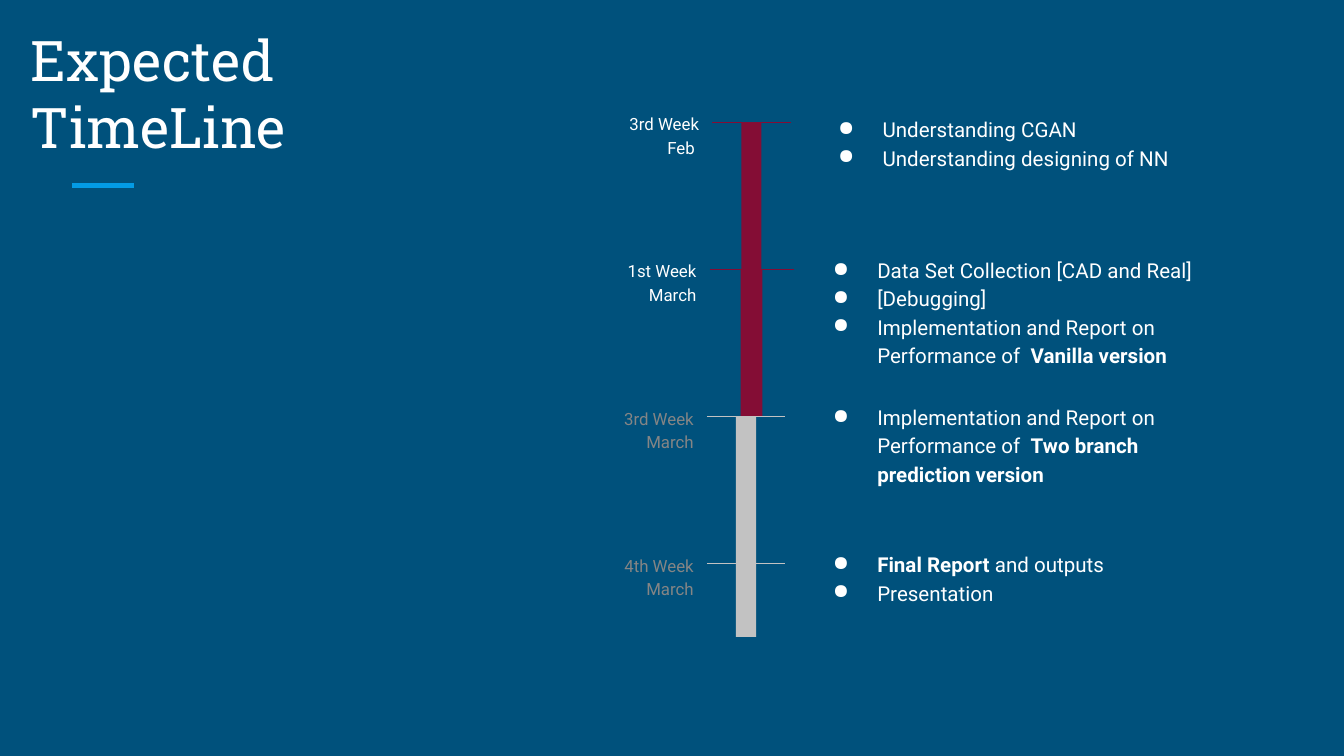
from dataclasses import dataclass

import pptx
import pptx.dml.color
import pptx.enum.shapes
import pptx.enum.text
import pptx.oxml
import pptx.oxml.ns
import pptx.util

Cm = pptx.util.Cm
Pt = pptx.util.Pt
ALIGN = pptx.enum.text.PP_ALIGN
ANCHOR = pptx.enum.text.MSO_ANCHOR

NAVY, BLUE, WHITE = "00517C", "039BE5", "FFFFFF"
RED, SILVER, GRAY = "840D35", "C2C2C2", "858585"
FIRST_TICK, PITCH = 2.31, 2.78


@dataclass
class Stage:
    label: list[str]
    tasks: list[str]
    color: str
    label_color: str
    bar_x: float
    bar_w: float
    bar_h: float
    tick_left: float
    tick_right: float
    label_w: float = 2.11
    tasks_x: float = 15.06
    tasks_w: float = 7.57
    tasks_rise: float = 0.53


STAGES = [
    Stage(["3rd Week Feb "],
          ["Understanding CGAN", "Understanding designing of NN"],
          RED, WHITE, 14.01, 0.38, PITCH, 13.46, 14.94,
          tasks_x=15.16, tasks_rise=0.41),
    Stage(["1st Week", "March"],
          ["Data Set Collection [CAD and Real]", "[Debugging]",
           "Implementation and Report on Performance of  **Vanilla version**"],
          RED, WHITE, 14.0, 0.41, PITCH, 13.41, 15.01,
          label_w=2.31, tasks_w=8.33),
    Stage(["3rd Week", "March"],
          ["Implementation and Report on Performance of  **Two branch prediction version**"],
          SILVER, GRAY, 13.91, 0.38, PITCH, 13.36, 14.83),
    Stage(["4th Week", "March"],
          ["**Final Report** and outputs", "Presentation"],
          SILVER, GRAY, 13.91, 0.38, PITCH / 2, 13.36, 14.83),
]


def rgb(color: str) -> pptx.dml.color.RGBColor:
    return pptx.dml.color.RGBColor.from_string(color)


def add_bullet(p, color: str) -> None:
    pPr = p._p.get_or_add_pPr()
    pPr.set("marL", str(Cm(1.27)))
    pPr.set("indent", str(Cm(-0.84)))
    ns = pptx.oxml.ns.nsdecls("a")
    for xml in (f'<a:buClr {ns}><a:srgbClr val="{color}"/></a:buClr>',
                f'<a:buChar {ns} char="●"/>'):
        pPr.append(pptx.oxml.parse_xml(xml))


def add_text(s, paragraphs: list[str], x: float, y: float, w: float, h: float, *,
             size: float, color: str = WHITE, font: str = "Roboto",
             align=ALIGN.LEFT, anchor=ANCHOR.TOP,
             spacing: float = 1.15, bullet: bool = False) -> None:
    tf = s.shapes.add_textbox(Cm(x), Cm(y), Cm(w), Cm(h)).text_frame
    tf.word_wrap = True
    tf.vertical_anchor = anchor
    tf.margin_left = tf.margin_right = tf.margin_top = tf.margin_bottom = Cm(0.25)
    for i, text in enumerate(paragraphs):
        p = tf.add_paragraph() if i else tf.paragraphs[0]
        p.alignment = align
        p.line_spacing = spacing
        if bullet:
            add_bullet(p, color)
        for j, part in enumerate(text.split("**")):
            for k, line in enumerate(part.split("\n")):
                if k:
                    p.add_line_break()
                if line:
                    r = p.add_run()
                    r.text = line
                    r.font.name = font
                    r.font.size = Pt(size)
                    r.font.bold = j % 2 == 1
                    r.font.color.rgb = rgb(color)


def add_line(s, x1: float, x2: float, y: float, color: str, width: float) -> None:
    sp = s.shapes.add_connector(pptx.enum.shapes.MSO_CONNECTOR.STRAIGHT,
                                Cm(x1), Cm(y), Cm(x2), Cm(y))
    sp.line.color.rgb = rgb(color)
    sp.line.width = Pt(width)
    sp._element.spPr.append(
        pptx.oxml.parse_xml(f'<a:effectLst {pptx.oxml.ns.nsdecls("a")}/>'))


def add_bar(s, x: float, y: float, w: float, h: float, color: str) -> None:
    sp = s.shapes.add_shape(pptx.enum.shapes.MSO_SHAPE.RECTANGLE,
                            Cm(x), Cm(y), Cm(w), Cm(h))
    sp.shadow.inherit = False
    sp.fill.solid()
    sp.fill.fore_color.rgb = rgb(color)
    sp.line.fill.background()


def add_stage(s, stage: Stage, y: float) -> None:
    add_bar(s, stage.bar_x, y, stage.bar_w, stage.bar_h, stage.color)
    add_line(s, stage.tick_left, stage.tick_right, y, stage.color, 0.75)
    add_text(s, stage.tasks, stage.tasks_x, y - stage.tasks_rise, stage.tasks_w, 0.76,
             size=11, bullet=True)
    add_text(s, stage.label, stage.tick_left - stage.label_w, y - 0.46, stage.label_w, 0.97,
             size=9, color=stage.label_color, align=ALIGN.RIGHT)


def main() -> None:
    prs = pptx.Presentation()
    prs.slide_width, prs.slide_height = Cm(25.4), Cm(14.29)
    s = prs.slides.add_slide(prs.slide_layouts[6])
    s.background.fill.solid()
    s.background.fill.fore_color.rgb = rgb(NAVY)
    add_line(s, 1.37, 2.54, 3.51, BLUE, 3)
    add_text(s, ["Expected \nTimeLine"], 0.33, 1.37, 23.24, 1.9, size=30,
             font="Roboto Slab", anchor=ANCHOR.BOTTOM, spacing=1.0)
    for i, stage in enumerate(STAGES):
        add_stage(s, stage, FIRST_TICK + i * PITCH)
    prs.save("out.pptx")


if __name__ == "__main__":
    main()
